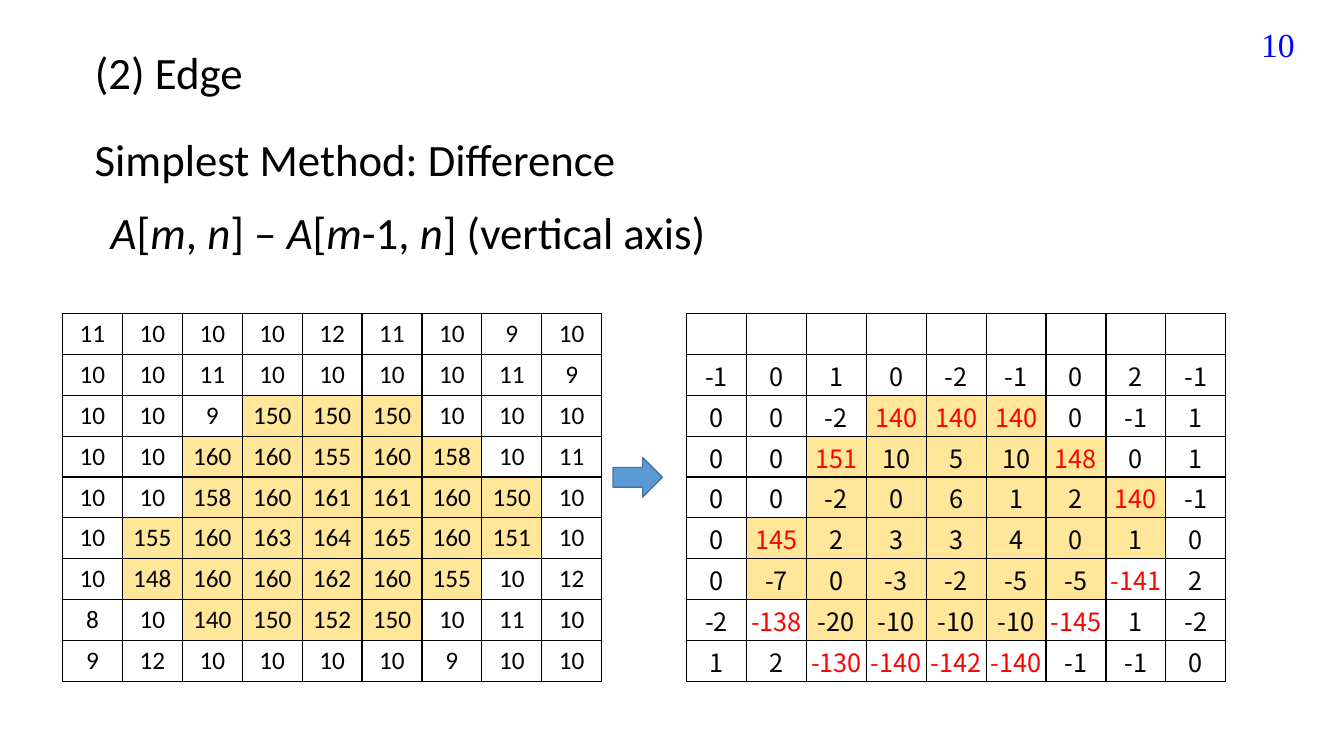
from lxml.etree import SubElement
from pptx import Presentation
from pptx.dml.color import RGBColor
from pptx.enum.shapes import MSO_SHAPE
from pptx.enum.text import MSO_ANCHOR, MSO_AUTO_SIZE, PP_ALIGN
from pptx.oxml.ns import qn
from pptx.util import Inches, Pt

PIXELS = [
    [11, 10, 10, 10, 12, 11, 10, 9, 10],
    [10, 10, 11, 10, 10, 10, 10, 11, 9],
    [10, 10, 9, 150, 150, 150, 10, 10, 10],
    [10, 10, 160, 160, 155, 160, 158, 10, 11],
    [10, 10, 158, 160, 161, 161, 160, 150, 10],
    [10, 155, 160, 163, 164, 165, 160, 151, 10],
    [10, 148, 160, 160, 162, 160, 155, 10, 12],
    [8, 10, 140, 150, 152, 150, 10, 11, 10],
    [9, 12, 10, 10, 10, 10, 9, 10, 10],
]
SIZE = len(PIXELS)
THRESHOLD = 100  # bright pixels and strong edges lie above this

# Vertical difference; the first row has no row above it
differences = [[""] * SIZE] + [
    [low - high for high, low in zip(above, row)]
    for above, row in zip(PIXELS, PIXELS[1:])
]


def format_paragraph(p, size, font, color, align=PP_ALIGN.LEFT):
    p.alignment = align
    p.font.size = Pt(size)
    p.font.name = font
    p.font.color.rgb = RGBColor.from_string(color)


def add_borders(cell, color="000000"):
    tc_pr = cell._tc.get_or_add_tcPr()
    for side in ("lnL", "lnR", "lnT", "lnB"):
        ln = SubElement(tc_pr, qn(f"a:{side}"), w=str(Pt(1)))
        fill = SubElement(ln, qn("a:solidFill"))
        SubElement(fill, qn("a:srgbClr"), val=color)


prs = Presentation()
prs.slide_width, prs.slide_height = Inches(13.33), Inches(7.5)
s = prs.slides.add_slide(prs.slide_layouts[5])

# Title and method; each text is a list of (run, italic)
formula = [
    ("A", True), ("[", False), ("m", True), (", ", False), ("n", True),
    ("] – ", False), ("A", True), ("[", False), ("m", True),
    ("-1, ", False), ("n", True), ("] (vertical axis)", False),
]
lines = [
    (s.shapes.title, 0.84, 0.39, 7.76, [("(2) Edge", False)]),
    (None, 0.84, 1.26, 5.61, [("Simplest Method: Difference", False)]),
    (None, 1, 1.98, 7.76, formula),
]
for sp, left, top, width, runs in lines:
    sp = sp or s.shapes.add_textbox(0, 0, 0, 0)
    sp.left, sp.top = Inches(left), Inches(top)
    sp.width, sp.height = Inches(width), Inches(0.64)
    tf = sp.text_frame
    tf.word_wrap = True
    tf.auto_size = MSO_AUTO_SIZE.NONE
    tf.vertical_anchor = MSO_ANCHOR.TOP
    p = tf.paragraphs[0]
    format_paragraph(p, 32, "Calibri", "000000")
    for text, italic in runs:
        r = p.add_run()
        r.text = text
        r.font.italic = italic

# Pixel values and their differences
for left, values, font in [
    (0.62, PIXELS, "Calibri"),
    (6.81, differences, "Noto Sans CJK TC"),
]:
    table = s.shapes.add_table(
        SIZE, SIZE, Inches(left), Inches(3.11), Inches(5.35), Inches(3.65)
    ).table
    table.first_row = table.horz_banding = False
    for i, row in enumerate(values):
        for j, value in enumerate(row):
            cell = table.cell(i, j)
            add_borders(cell)
            if PIXELS[i][j] > THRESHOLD:
                cell.fill.solid()
                cell.fill.fore_color.rgb = RGBColor.from_string("FFE699")
            else:
                cell.fill.background()
            color = "000000"
            if values is differences:
                cell.margin_left = cell.margin_right = cell.margin_top = Inches(0.01)
                cell.margin_bottom = 0
                cell.vertical_anchor = MSO_ANCHOR.MIDDLE
                if value != "" and abs(value) > THRESHOLD:
                    color = "FF0000"
            cell.text = str(value)
            format_paragraph(
                cell.text_frame.paragraphs[0], 18, font, color, PP_ALIGN.CENTER
            )

arrow = s.shapes.add_shape(
    MSO_SHAPE.RIGHT_ARROW, Inches(6.08), Inches(4.54), Inches(0.49), Inches(0.39)
)
arrow.shadow.inherit = False
arrow.fill.solid()
arrow.fill.fore_color.rgb = RGBColor.from_string("5B9BD5")
arrow.line.color.rgb = RGBColor.from_string("43739E")
arrow.line.width = Pt(1)

page_number = s.shapes.add_textbox(
    Inches(12.04), Inches(0.24), Inches(0.9), Inches(0.4)
)
tf = page_number.text_frame
tf.word_wrap = True
tf.vertical_anchor = MSO_ANCHOR.MIDDLE
p = tf.paragraphs[0]
p.text = "10"
format_paragraph(p, 24, "Times New Roman", "0000FF", PP_ALIGN.RIGHT)

prs.save("out.pptx")
